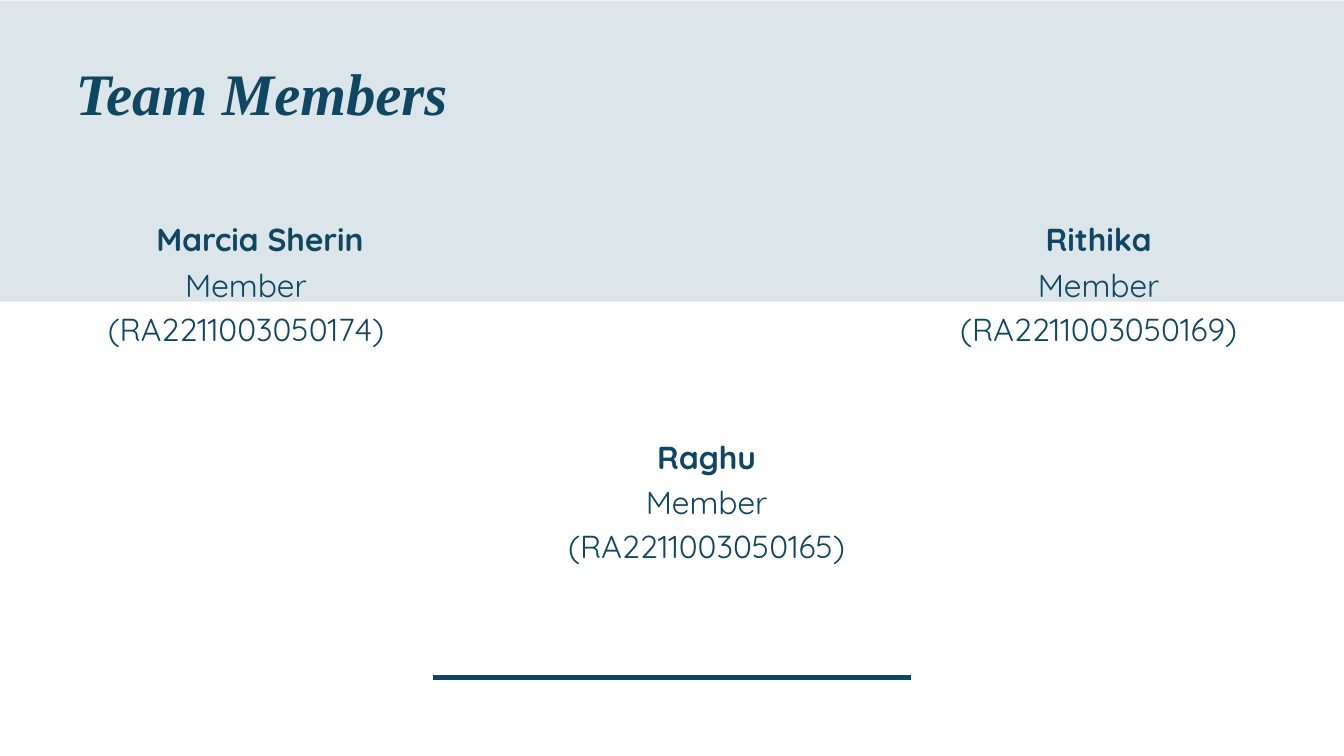
from lxml.etree import SubElement
from pptx import Presentation
from pptx.dml.color import RGBColor
from pptx.enum.shapes import MSO_CONNECTOR, MSO_SHAPE
from pptx.enum.text import MSO_AUTO_SIZE, PP_ALIGN
from pptx.oxml.ns import qn
from pptx.util import Pt

EMU_PER_PX = 9525
NAVY = RGBColor(0x0F, 0x46, 0x62)
PALE_BLUE = RGBColor(0xDB, 0xE5, 0xEA)

CARD_WIDTH = 527
NAME_HEIGHT = 60
DETAILS_OFFSET = 65
DETAILS_HEIGHT = 123

MEMBERS = [
    ("Raghu", "(RA2211003050165)", 746, 746, 617),
    ("Rithika", "(RA2211003050169)", 1306, 1306, 306),
    ("Marcia Sherin", "(RA2211003050174)", 108, 88, 306),
]


def px(*lengths):
    return [length * EMU_PER_PX for length in lengths]


def add_band(slide, left, top, width, height):
    band = slide.shapes.add_shape(MSO_SHAPE.RECTANGLE, *px(left, top, width, height))
    band.shadow.inherit = False
    band.fill.solid()
    band.fill.fore_color.rgb = PALE_BLUE
    band.line.fill.background()


def add_rule(slide, left, right, y):
    rule = slide.shapes.add_connector(MSO_CONNECTOR.STRAIGHT, *px(left, y, right, y))
    rule.line.color.rgb = NAVY
    rule.line.width = Pt(6)
    SubElement(rule._element.spPr, qn("a:effectLst"))


def add_text(slide, bounds, lines, font="Quicksand", size=34, spacing=47,
             align=PP_ALIGN.CENTER, bold=False, italic=False):
    frame = slide.shapes.add_textbox(*px(*bounds)).text_frame
    frame.word_wrap = True
    frame.auto_size = MSO_AUTO_SIZE.SHAPE_TO_FIT_TEXT
    frame.margin_left = frame.margin_top = frame.margin_right = frame.margin_bottom = 0
    for index, line in enumerate(lines):
        paragraph = frame.add_paragraph() if index else frame.paragraphs[0]
        paragraph.alignment = align
        paragraph.line_spacing = Pt(spacing)
        run = paragraph.add_run()
        run.text = line
        run.font.name = font
        run.font.size = Pt(size)
        run.font.bold = bold
        run.font.italic = italic
        run.font.color.rgb = NAVY


def add_member(slide, name, number, name_left, details_left, top):
    add_text(slide, (name_left, top, CARD_WIDTH, NAME_HEIGHT), [name], bold=True)
    add_text(slide, (details_left, top + DETAILS_OFFSET, CARD_WIDTH, DETAILS_HEIGHT),
             ["Member", number])


def main():
    presentation = Presentation()
    presentation.slide_width, presentation.slide_height = px(1920, 1080)
    slide = presentation.slides.add_slide(presentation.slide_layouts[6])
    add_band(slide, 0, 1, 1920, 430)
    add_text(slide, (108, 63, 1041, 114), ["Team Members"], font="Times New Roman",
             size=63, spacing=89, align=PP_ALIGN.LEFT, bold=True, italic=True)
    add_rule(slide, 619, 1301, 968)
    for member in MEMBERS:
        add_member(slide, *member)
    presentation.save("out.pptx")


if __name__ == "__main__":
    main()
